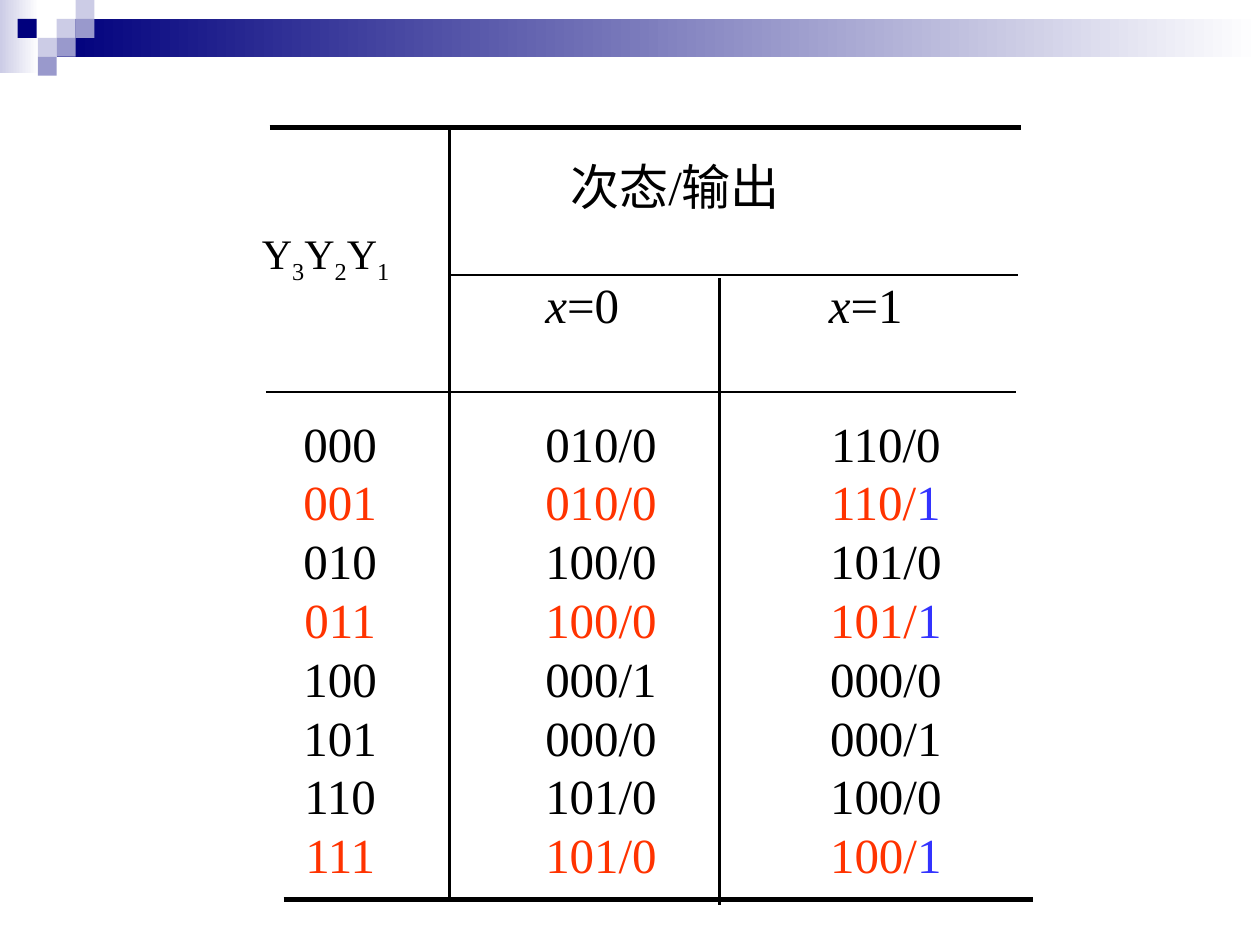
"""Build a slide with a state transition table."""
from pptx import Presentation, util as u
from pptx.dml.color import RGBColor
from pptx.enum import shapes, text
from pptx.oxml.ns import qn
from lxml import etree

HUE = {"ink": "000000", "red": "FF3300", "blue": "3333FF", "navy": "00007D",
       "pale": "CCCCE6", "mid": "9999CC", "white": "FFFFFF"}
FONT = "Times New Roman"
ROWS = [("000", "010/0", "110/0"), ("001", "010/0", "110/1"),
        ("010", "100/0", "101/0"), ("011", "100/0", "101/1"),
        ("100", "000/1", "000/0"), ("101", "000/0", "000/1"),
        ("110", "101/0", "100/0"), ("111", "101/0", "100/1")]
MARKED = {"001", "011", "111"}
COLS = [(2.21, 0.98), (3.99, 1.56), (6.09, 1.88)]
HEADS = [((4.43, 1.19, 1.87, 0.57), [("次态/输出", {})], 28, True),
         ((1.98, 1.76, 1.26, 0.5),
          [part for n in "321" for part in (("Y", {}), (n, {"sub": True}))], 24, True)]
HEADS += [((left, 2.13, 0.79, 0.57), [("x", {"slant": True}), (f"={n}", {})], 28, False)
          for n, left in enumerate((4.23, 6.48))]
RULES = [(2.14, 1.01, 8.1, 1.01, 3), (2.25, 7.14, 8.2, 7.14, 3),
         (3.57, 1.01, 3.57, 7.16, 1.5), (5.71, 2.21, 5.71, 7.18, 1.5),
         (3.57, 2.18, 8.08, 2.18, 1), (2.11, 3.11, 8.06, 3.11, 1)]
BANDS = [((0, 0, 0.31, 0.58), "pale"), ((0.45, 0.15, 9.55, 0.3), "navy")]
TILES = [(0.45, 0.15, "pale"), (0.6, 0, "pale"), (0.6, 0.15, "mid"),
         (0.3, 0.3, "pale"), (0.14, 0.15, "navy"), (0.45, 0.3, "mid"),
         (0.3, 0.45, "mid")]

deck = Presentation()
deck.slide_width, deck.slide_height = u.Inches(10), u.Inches(7.5)
slide = deck.slides.add_slide(deck.slide_layouts[6])


def rgb(name):
    return RGBColor.from_string(HUE[name])


def block(at, hue, fade=False):
    box = slide.shapes.add_shape(shapes.MSO_SHAPE.RECTANGLE, *map(u.Inches, at))
    box.shadow.inherit = False
    box.line.fill.background()
    if fade:
        box.fill.gradient()
        box.fill.gradient_angle = 0
        for stop, name, pos in zip(box.fill.gradient_stops, (hue, "white"), (0, 1)):
            stop.color.rgb = rgb(name)
            stop.position = pos
    else:
        box.fill.solid()
        box.fill.fore_color.rgb = rgb(hue)


def rule(x1, y1, x2, y2, width):
    line = slide.shapes.add_connector(
        shapes.MSO_CONNECTOR.STRAIGHT, *map(u.Inches, (x1, y1, x2, y2)))
    line.line.color.rgb = rgb("ink")
    line.line.width = u.Pt(width)
    etree.SubElement(line.element.spPr, qn("a:effectLst"))


def write(at, lines, size=28, wrap=True, align=text.PP_ALIGN.LEFT, pitch=None):
    frame = slide.shapes.add_textbox(*map(u.Inches, at)).text_frame
    frame.word_wrap = wrap
    for n, parts in enumerate(lines):
        para = frame.add_paragraph() if n else frame.paragraphs[0]
        para.alignment = align
        if pitch:
            para.line_spacing = u.Pt(pitch)
        for words, look in parts:
            run = para.add_run()
            run.text = words
            font = run.font
            font.name, font.size = FONT, u.Pt(size)
            font.color.rgb = rgb(look.get("hue", "ink"))
            if look.get("slant"):
                font.italic = True
            if look.get("sub"):
                font._element.set("baseline", "-25000")


def cell(row, col):
    words = row[col]
    if row[0] not in MARKED:
        return [(words, {})]
    if col < 2:
        return [(words, {"hue": "red"})]
    return [(words[:-1], {"hue": "red"}), (words[-1], {"hue": "blue"})]


for at, hue in BANDS:
    block(at, hue, fade=True)
for left, top, hue in TILES:
    block((left, top, 0.15, 0.15), hue)
for ends in RULES:
    rule(*ends)
for at, parts, size, wrap in HEADS:
    write(at, [parts], size=size, wrap=wrap)
for col, (left, width) in enumerate(COLS):
    write((left, 3.23, width, 3.84), [cell(row, col) for row in ROWS],
          align=text.PP_ALIGN.CENTER, pitch=33.6)

deck.save("out.pptx")
